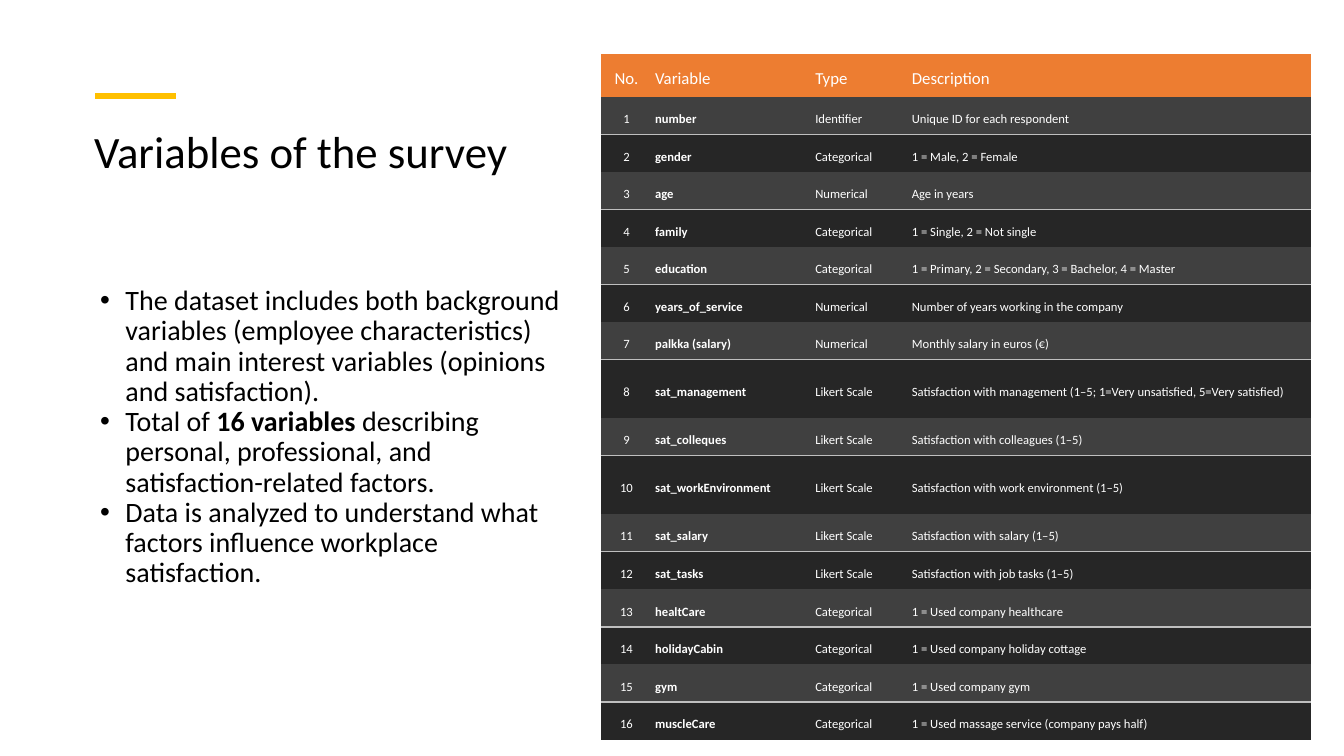
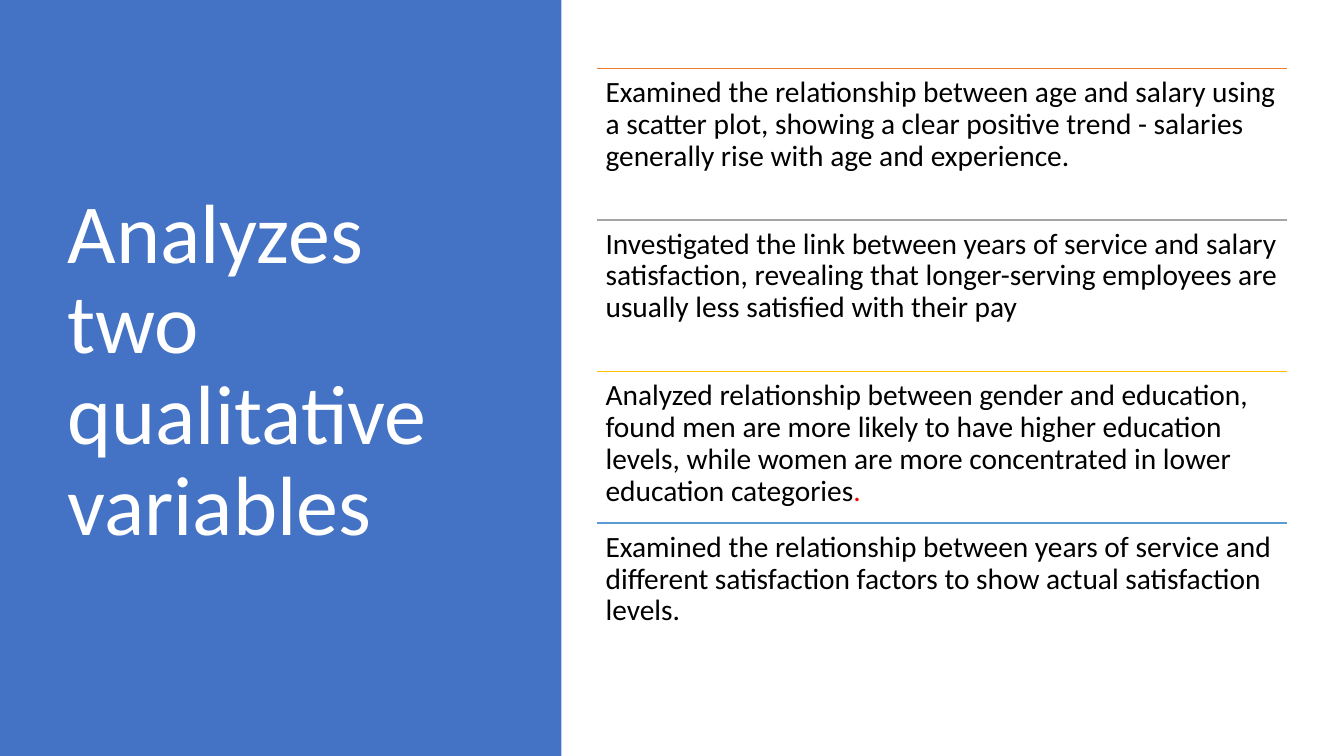
from dataclasses import dataclass

from lxml import etree
from pptx import Presentation
from pptx.dml.color import RGBColor
from pptx.enum.shapes import MSO_CONNECTOR, MSO_SHAPE
from pptx.enum.text import MSO_ANCHOR, MSO_AUTO_SIZE, PP_ALIGN
from pptx.oxml.ns import qn
from pptx.util import Pt

STRAIGHT = MSO_CONNECTOR.STRAIGHT
RECTANGLE = MSO_SHAPE.RECTANGLE
TOP, MIDDLE = MSO_ANCHOR.TOP, MSO_ANCHOR.MIDDLE
LEFT, CENTER = PP_ALIGN.LEFT, PP_ALIGN.CENTER
NO_AUTOFIT = MSO_AUTO_SIZE.NONE
TITLE_ONLY = 5


@dataclass(frozen=True)
class Theme:
    font: str = "Calibri"
    black: str = "000000"
    white: str = "FFFFFF"
    blue: str = "4472C4"
    orange: str = "ED7D31"
    grey: str = "A5A5A5"
    gold: str = "FFC000"
    sky: str = "5B9BD5"
    red: str = "FF0000"
    odd_row: str = "404040"
    even_row: str = "262626"
    rule: str = "BFBFBF"
    title_size: float = 32
    large_title_size: float = 60
    bullet_size: float = 20
    finding_size: float = 21
    header_size: float = 12
    cell_size: float = 9
    line_spacing: float = 0.9


THEME = Theme()

VARIABLES = [
    ("number", "Identifier", "Unique ID for each respondent"),
    ("gender", "Categorical", "1 = Male, 2 = Female"),
    ("age", "Numerical", "Age in years"),
    ("family", "Categorical", "1 = Single, 2 = Not single"),
    ("education", "Categorical", "1 = Primary, 2 = Secondary, 3 = Bachelor, 4 = Master"),
    ("years_of_service", "Numerical", "Number of years working in the company"),
    ("palkka (salary)", "Numerical", "Monthly salary in euros (€)"),
    ("sat_management", "Likert Scale",
     "Satisfaction with management (1–5; 1=Very unsatisfied, 5=Very satisfied)"),
    ("sat_colleques", "Likert Scale", "Satisfaction with colleagues (1–5)"),
    ("sat_workEnvironment", "Likert Scale", "Satisfaction with work environment (1–5)"),
    ("sat_salary", "Likert Scale", "Satisfaction with salary (1–5)"),
    ("sat_tasks", "Likert Scale", "Satisfaction with job tasks (1–5)"),
    ("healtCare", "Categorical", "1 = Used company healthcare"),
    ("holidayCabin", "Categorical", "1 = Used company holiday cottage"),
    ("gym", "Categorical", "1 = Used company gym"),
    ("muscleCare", "Categorical", "1 = Used massage service (company pays half)"),
]
TALL_VARIABLES = {"sat_management", "sat_workEnvironment"}

BULLETS = [
    [("The dataset includes both background variables (employee characteristics) "
      "and main interest variables (opinions and satisfaction).", {})],
    [("Total of ", {}), ("16 variables", {"bold": True}),
     (" describing personal, professional, and satisfaction-related factors.", {})],
    [("Data is analyzed to understand what factors influence workplace satisfaction.", {})],
]

FINDINGS = [
    (THEME.orange, [("Examined the relationship between age and salary using a scatter plot, "
                     "showing a clear positive trend - salaries generally rise with age "
                     "and experience.", {})]),
    (THEME.grey, [("Investigated the link between years of service and salary satisfaction, "
                   "revealing that longer-serving employees are usually less satisfied "
                   "with their pay", {})]),
    (THEME.gold, [("Analyzed relationship between gender and education, found men are more "
                   "likely to have higher education levels, while women are more "
                   "concentrated in lower education categories", {}),
                  (".", {"colour": THEME.red})]),
    (THEME.sky, [("Examined the relationship between years of service and different "
                  "satisfaction factors to show actual satisfaction levels.", {})]),
]


class Deck:
    def __init__(self, theme):
        self.theme = theme
        self.presentation = Presentation()
        self.presentation.slide_width = Pt(960)
        self.presentation.slide_height = Pt(540)
        self.slide = None

    def add_slide(self):
        layout = self.presentation.slide_layouts[TITLE_ONLY]
        self.slide = self.presentation.slides.add_slide(layout)

    def style_run(self, run, size, colour=None, bold=False):
        run.font.name = self.theme.font
        run.font.size = Pt(size)
        run.font.bold = bold
        run.font.color.rgb = RGBColor.from_string(colour or self.theme.black)

    def title(self, text, box, size, colour, anchor):
        title = self.slide.shapes.title
        title.left, title.top, title.width, title.height = map(Pt, box)
        frame = title.text_frame
        frame.text = text
        frame.auto_size = NO_AUTOFIT
        frame.vertical_anchor = anchor
        paragraph = frame.paragraphs[0]
        paragraph.alignment = LEFT
        paragraph.line_spacing = self.theme.line_spacing
        self.style_run(paragraph.runs[0], size, colour)

    def band(self, box, colour):
        band = self.slide.shapes.add_shape(RECTANGLE, *map(Pt, box))
        band.shadow.inherit = False
        band.fill.solid()
        band.fill.fore_color.rgb = RGBColor.from_string(colour)
        band.line.fill.background()
        self.slide.shapes.title.element.addprevious(band.element)

    def rule(self, left, top, width, colour, weight):
        rule = self.slide.shapes.add_connector(
            STRAIGHT, Pt(left), Pt(top), Pt(left + width), Pt(top))
        rule.line.color.rgb = RGBColor.from_string(colour)
        rule.line.width = Pt(weight)
        etree.SubElement(rule.element.spPr, qn("a:effectLst"))

    def text(self, paragraphs, box, size, inset=None, bulleted=False):
        frame = self.slide.shapes.add_textbox(*map(Pt, box)).text_frame
        frame.word_wrap = True
        if inset is not None:
            frame.margin_left = frame.margin_right = Pt(inset)
            frame.margin_top = frame.margin_bottom = Pt(inset)
        for index, parts in enumerate(paragraphs):
            paragraph = frame.add_paragraph() if index else frame.paragraphs[0]
            paragraph.line_spacing = self.theme.line_spacing
            for words, style in parts:
                run = paragraph.add_run()
                run.text = words
                self.style_run(run, size, **style)
            if bulleted:
                self.bullet(paragraph)

    def bullet(self, paragraph):
        properties = paragraph._p.get_or_add_pPr()
        properties.set("marL", str(Pt(22.5)))
        properties.set("indent", str(Pt(-18)))
        etree.SubElement(properties, qn("a:buFont"), typeface="Arial")
        etree.SubElement(properties, qn("a:buChar"), char="•")

    def borders(self, cell, ruled_side):
        properties = cell._tc.get_or_add_tcPr()
        for side in ("lnL", "lnR", "lnT", "lnB"):
            line = etree.SubElement(properties, qn(f"a:{side}"), w=str(Pt(1)))
            if side == ruled_side:
                fill = etree.SubElement(line, qn("a:solidFill"))
                etree.SubElement(fill, qn("a:srgbClr"), val=self.theme.rule)
            else:
                etree.SubElement(line, qn("a:noFill"))

    def cell(self, cell, text, size, fill, ruled_side, alignment, bold):
        self.borders(cell, ruled_side)
        cell.fill.solid()
        cell.fill.fore_color.rgb = RGBColor.from_string(fill)
        cell.vertical_anchor = MIDDLE
        cell.margin_left = cell.margin_right = Pt(2.2)
        cell.margin_top, cell.margin_bottom = Pt(5.8), Pt(0.7)
        cell.text_frame.text = text
        paragraph = cell.text_frame.paragraphs[0]
        paragraph.alignment = alignment
        self.style_run(paragraph.runs[0], size, self.theme.white, bold)

    def table(self, rows, left, top, widths, heights):
        table = self.slide.shapes.add_table(
            len(rows), len(widths), Pt(left), Pt(top),
            Pt(sum(widths)), Pt(sum(heights))).table
        for column, width in zip(table.columns, widths):
            column.width = Pt(width)
        for row, height in zip(table.rows, heights):
            row.height = Pt(height)
        for row_index, values in enumerate(rows):
            if row_index == 0:
                look = self.theme.header_size, self.theme.orange, None
            elif row_index % 2:
                look = self.theme.cell_size, self.theme.odd_row, "lnB"
            else:
                look = self.theme.cell_size, self.theme.even_row, "lnT"
            for column_index, value in enumerate(values):
                alignment = LEFT if column_index else CENTER
                bold = row_index > 0 and column_index == 1
                self.cell(table.cell(row_index, column_index), value, *look, alignment, bold)


def build_variables(deck):
    theme = deck.theme
    deck.add_slide()
    deck.title("Variables of the survey", (60, 89.3, 358, 110), theme.title_size,
               theme.black, TOP)
    deck.rule(68, 68.5, 58, theme.gold, 4.5)
    deck.text(BULLETS, (60, 201, 358, 284), theme.bullet_size, bulleted=True)
    rows = [("No.", "Variable", "Type", "Description")]
    rows += [(str(number), *row) for number, row in enumerate(VARIABLES, 1)]
    heights = [30.6] + [41.8 if row[0] in TALL_VARIABLES else 26.83 for row in VARIABLES]
    deck.table(rows, 429.2, 38.7, (36.6, 114.4, 69, 287.2), heights)


def build_findings(deck):
    theme = deck.theme
    left, top, width, step = 426.3, 48.8, 493, 108.3
    deck.add_slide()
    deck.title("Analyzes two qualitative variables", (41, 49, 299.5, 433.5),
               theme.large_title_size, theme.white, MIDDLE)
    deck.band((0, 0, 401, 540), theme.blue)
    for index, (colour, parts) in enumerate(FINDINGS):
        row_top = top + index * step
        deck.rule(left, row_top, width, colour, 1)
        deck.text([parts], (left, row_top, width, step), theme.finding_size, inset=6.3)


def main():
    deck = Deck(THEME)
    build_variables(deck)
    build_findings(deck)
    deck.presentation.save("out.pptx")


if __name__ == "__main__":
    main()
